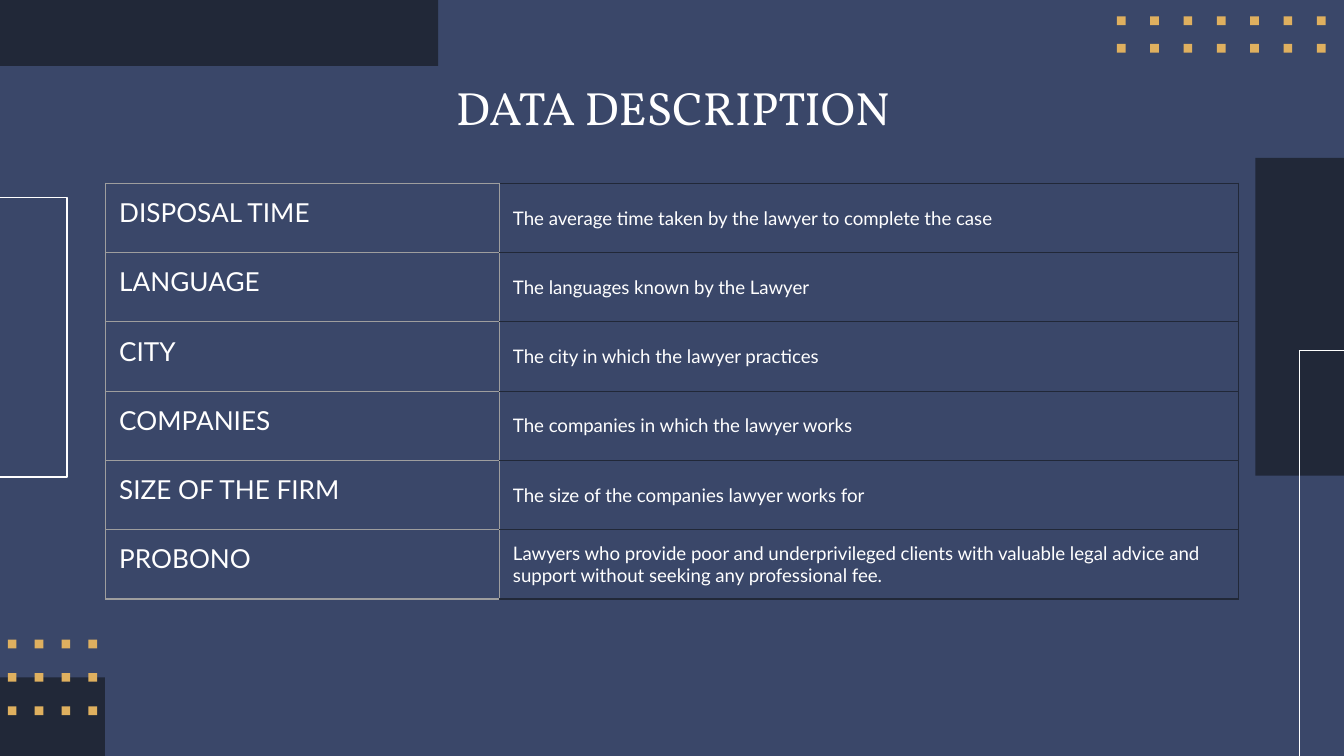
from pptx import Presentation
from pptx.dml.color import RGBColor
from pptx.enum.shapes import MSO_SHAPE
from pptx.enum.text import MSO_ANCHOR, MSO_AUTO_SIZE, PP_ALIGN
from pptx.oxml import parse_xml
from pptx.oxml.ns import nsdecls
from pptx.util import Inches, Pt

RECT = MSO_SHAPE.RECTANGLE
TOP, MIDDLE = MSO_ANCHOR.TOP, MSO_ANCHOR.MIDDLE
CENTER = PP_ALIGN.CENTER
FIXED = MSO_AUTO_SIZE.NONE

NAVY, DARK, GOLD = "3A4769", "212838", "DFB05F"
WHITE, GRAY = "FFFFFF", "9E9E9E"
COLS, ROWS = 100, 56.25
PAD = Inches(0.1)
THIN = Pt(0.75)

TERMS = [
    ("DISPOSAL TIME", "The average time taken by the lawyer to complete the case"),
    ("LANGUAGE", "The languages known by the Lawyer"),
    ("CITY", "The city in which the lawyer practices"),
    ("COMPANIES", "The companies in which the lawyer works"),
    ("SIZE OF THE FIRM", "The size of the companies lawyer works for"),
    ("PROBONO", "Lawyers who provide poor and underprivileged clients with "
                "valuable legal advice and support without seeking any "
                "professional fee."),
]


def color(code):
    return RGBColor.from_string(code)


class Deck:
    """Holds the style and the current slide; lengths are grid units."""

    def __init__(self):
        self.show = Presentation()
        self.show.slide_width = Inches(10)
        self.show.slide_height = Inches(5.625)
        self.col = self.show.slide_width / COLS
        self.row = self.show.slide_height / ROWS
        self.slide = self.show.slides.add_slide(self.show.slide_layouts[5])
        fill = self.slide.background.fill
        fill.solid()
        fill.fore_color.rgb = color(NAVY)

    def box(self, x, y, w, h):
        return (round(x * self.col), round(y * self.row),
                round(w * self.col), round(h * self.row))

    def text(self, para, words, size, font):
        run = para.add_run()
        run.text = words
        run.font.size = Pt(size)
        run.font.name = font
        run.font.color.rgb = color(WHITE)

    def title(self, words, *area):
        shape = self.slide.shapes.title
        shape.left, shape.top, shape.width, shape.height = self.box(*area)
        frame = shape.text_frame
        frame.auto_size = FIXED
        frame.word_wrap = True
        frame.vertical_anchor = TOP
        frame.margin_left = frame.margin_right = PAD
        frame.margin_top = frame.margin_bottom = PAD
        para = frame.paragraphs[0]
        para.alignment = CENTER
        self.text(para, words, 25, "Vollkorn")

    def block(self, code, *area):
        shape = self.slide.shapes.add_shape(RECT, *self.box(*area))
        shape.shadow.inherit = False
        shape.fill.solid()
        shape.fill.fore_color.rgb = color(code)
        shape.line.fill.background()

    def dots(self, x, y, across, down, dx, dy):
        for i in range(across):
            for j in range(down):
                self.block(GOLD, x + i * dx, y + j * dy, 0.65, 0.65)

    def frame(self, *points):
        """Draw an open outline through the points."""
        spots = [(round(x * self.col), round(y * self.row)) for x, y in points]
        line = self.slide.shapes.build_freeform(*spots[0])
        line.add_line_segments(spots[1:], close=False)
        shape = line.convert_to_shape()
        shape.shadow.inherit = False
        shape.fill.background()
        shape.line.color.rgb = color(WHITE)
        shape.line.width = THIN

    def edge(self, cell, codes):
        """Set the left, right, top and bottom borders, in that order."""
        props = cell._tc.get_or_add_tcPr()
        for i, (side, code) in enumerate(zip("LRTB", codes)):
            props.insert(i, parse_xml(
                f'<a:ln{side} {nsdecls("a")} w="{int(THIN)}"><a:solidFill>'
                f'<a:srgbClr val="{code}"/></a:solidFill></a:ln{side}>'))

    def cell(self, cell, words, size, anchor, pad, codes):
        cell.fill.background()
        cell.vertical_anchor = anchor
        cell.margin_left = cell.margin_right = PAD
        cell.margin_top = cell.margin_bottom = pad
        self.text(cell.text_frame.paragraphs[0], words, size, "Lato")
        self.edge(cell, codes)

    def table(self, terms, x, y, widths, high):
        area = self.box(x, y, sum(widths), high * len(terms))
        grid = self.slide.shapes.add_table(len(terms), len(widths), *area).table
        grid.first_row = grid.horz_banding = False
        for col, wide in zip(grid.columns, widths):
            col.width = round(wide * self.col)
        for i, (term, note) in enumerate(terms):
            self.cell(grid.cell(i, 0), term, 14, TOP, PAD, [GRAY] * 4)
            self.cell(grid.cell(i, 1), note, 10, MIDDLE, 0, [GRAY] + [DARK] * 3)


def main():
    deck = Deck()
    deck.block(DARK, 93.4, 11.75, 6.6, 23.65)
    deck.frame((96.7, ROWS), (96.7, 26.1), (COLS, 26.1))
    deck.dots(83.1, 1.22, 7, 2, 2.48, 2.05)
    deck.block(DARK, 0, 50.4, 7.8, 5.85)
    deck.block(DARK, 0, -0.1, 32.6, 5)
    deck.frame((-1.3, 14.7), (5, 14.7), (5, 35.5), (-1.3, 35.5))
    deck.dots(0.58, 47.6, 4, 3, 2, 2.48)
    deck.title("DATA DESCRIPTION", 7.9, 4.9, 84.3, 6.3)
    deck.table(TERMS, 7.87, 13.63, (29.3, 55), 5.16)
    deck.show.save("out.pptx")


if __name__ == "__main__":
    main()
